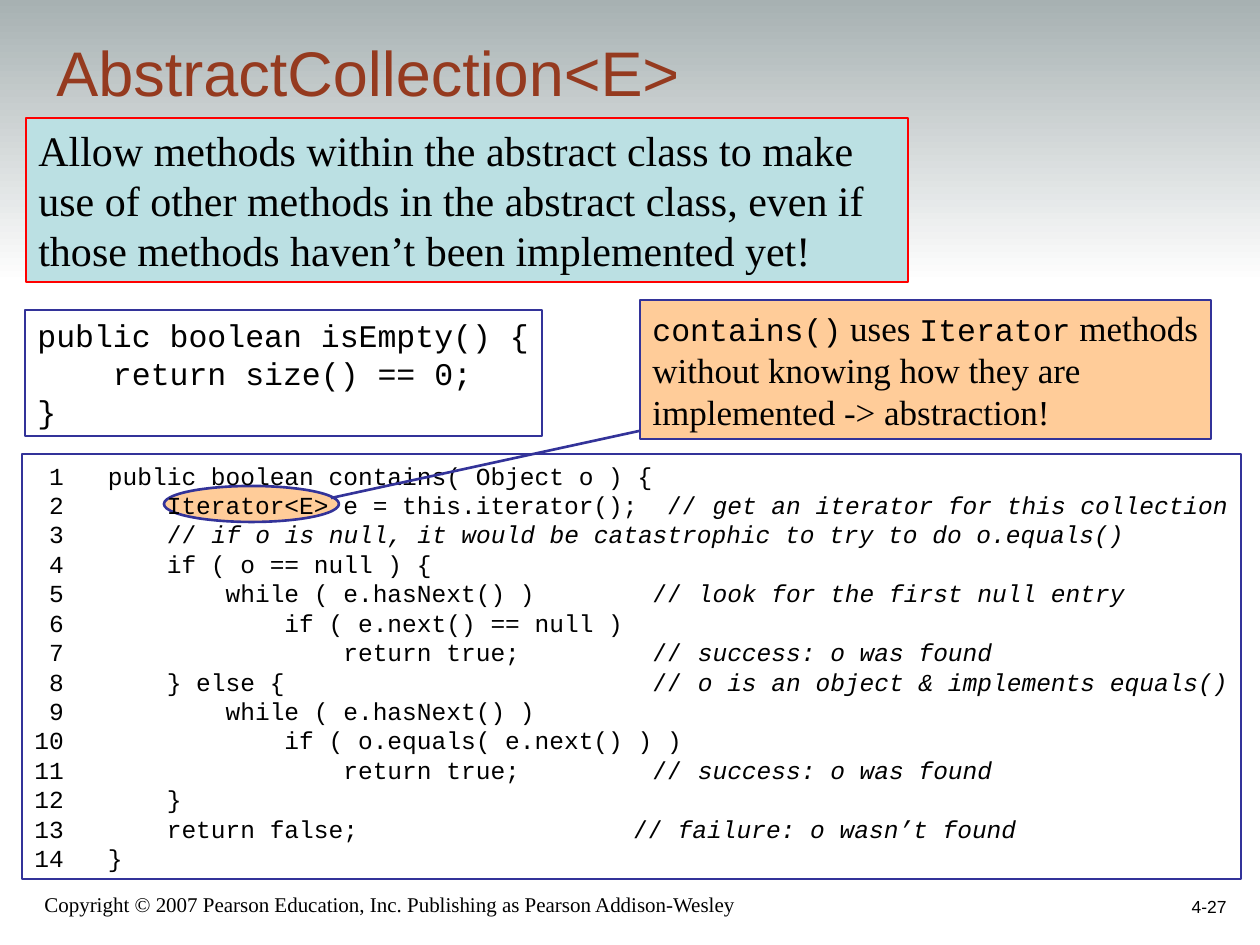
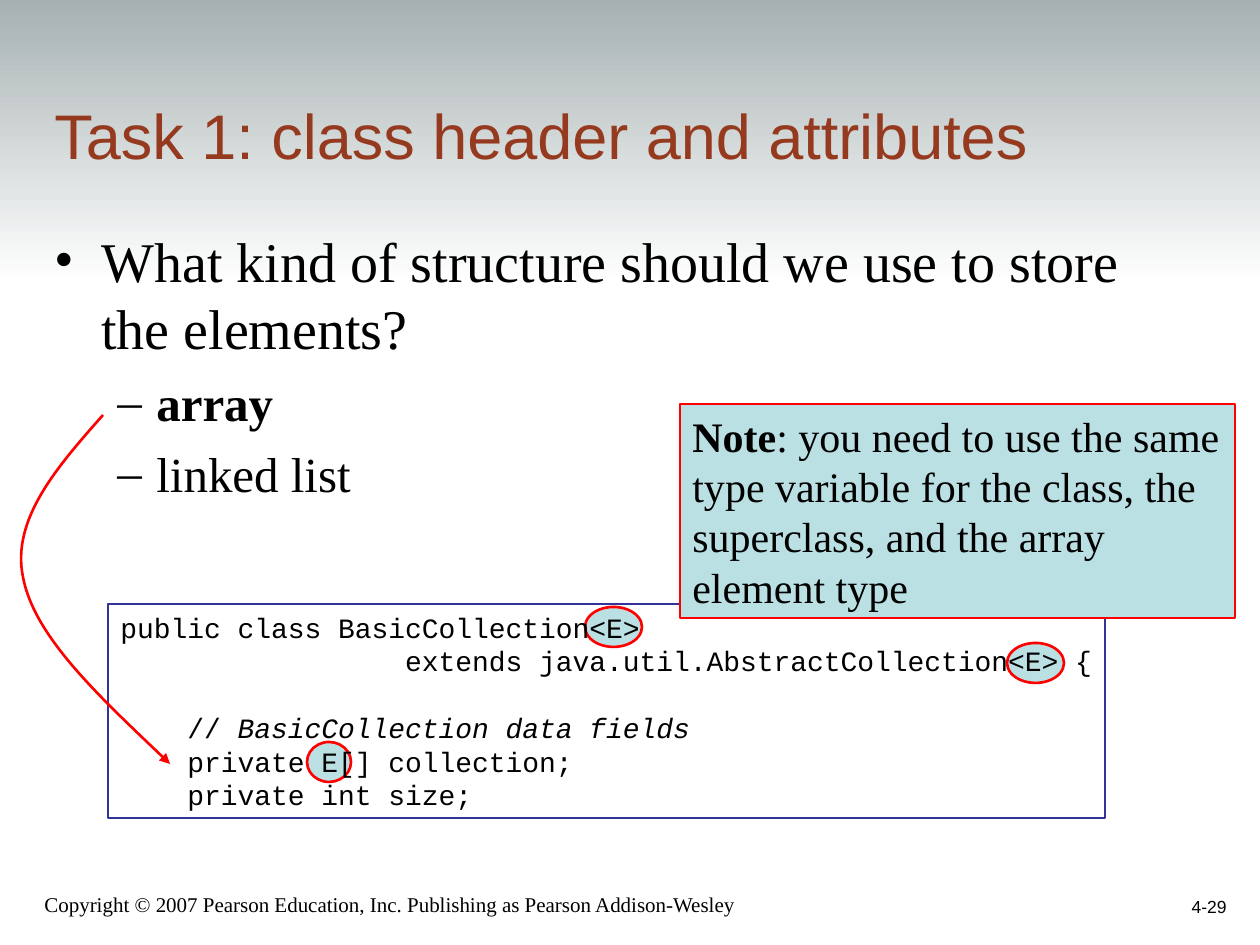
from lxml.etree import SubElement
from pptx import Presentation
from pptx.dml.color import RGBColor
from pptx.enum.shapes import MSO_CONNECTOR, MSO_SHAPE
from pptx.enum.text import MSO_ANCHOR as ANCHOR, PP_ALIGN as ALIGN
from pptx.oxml.ns import qn
from pptx.util import Emu, Pt

EMU_PER_PX = 914400 / 126
SLIDE_SIZE = 1260, 945

SANS, SERIF, MONO = "Arial", "Times New Roman", "Courier New"
BLACK, WHITE, GRAY = "000000", "FFFFFF", "A7B1B2"
RUST, INDIGO, RED = "953A1F", "333399", "FF0000"
AQUA, PEACH = "BBE0E3", "FFCC99"

COPYRIGHT = "Copyright © 2007 Pearson Education, Inc. Publishing as Pearson Addison-Wesley"

IS_EMPTY_CODE = """\
public boolean isEmpty() {
    return size() == 0;
}"""

CONTAINS_CODE = """\
 1   public boolean contains( Object o ) {
 2       Iterator<E> e = this.iterator();  // get an iterator for this collection
 3       // if o is null, it would be catastrophic to try to do o.equals()
 4       if ( o == null ) {
 5           while ( e.hasNext() )        // look for the first null entry
 6               if ( e.next() == null )
 7                   return true;         // success: o was found
 8       } else {                         // o is an object & implements equals()
 9           while ( e.hasNext() )
10               if ( o.equals( e.next() ) )
11                   return true;         // success: o was found
12       }
13       return false;\t               // failure: o wasn’t found
14   }"""

CLASS_CODE = """\
public class BasicCollection<E>
                 extends java.util.AbstractCollection<E> {

    // BasicCollection data fields
    private E[] collection;
    private int size;"""


def px(*lengths):
    return [Emu(round(length * EMU_PER_PX)) for length in lengths]


def rgb(color):
    return RGBColor.from_string(color)


# ---- Text and shapes ----

def write_runs(paragraph, runs, size, font, color=BLACK, bold=False, italic=False):
    """Runs are a plain string, or pairs of text and format overrides."""
    for text, changes in [(runs, {})] if isinstance(runs, str) else runs:
        style = {"size": size, "font": font, "bold": bold, "italic": italic} | changes
        run = paragraph.add_run()
        run.text = text
        run.font.size = Pt(style["size"])
        run.font.name = style["font"]
        run.font.bold = style["bold"]
        run.font.italic = style["italic"]
        run.font.color.rgb = rgb(color)


def write(shape, paragraphs, align=ALIGN.LEFT, anchor=ANCHOR.TOP, **style):
    frame = shape.text_frame
    frame.word_wrap = True
    frame.vertical_anchor = anchor
    for index, runs in enumerate(paragraphs):
        paragraph = frame.add_paragraph() if index else frame.paragraphs[0]
        paragraph.alignment = align
        write_runs(paragraph, runs, **style)
    return frame


def add_text(slide, box, text, **style):
    return write(slide.shapes.add_textbox(*px(*box)), [text], **style)


def set_outline(shape, color):
    shape.line.color.rgb = rgb(color)
    shape.line.width = Pt(1.5)


def add_panel(slide, box, fill, line, kind=MSO_SHAPE.RECTANGLE):
    panel = slide.shapes.add_shape(kind, *px(*box))
    panel.shadow.inherit = False
    panel.text_frame.margin_right = 0  # leaves room for the longest lines
    if fill:
        panel.fill.solid()
        panel.fill.fore_color.rgb = rgb(fill)
    else:
        panel.fill.background()
    set_outline(panel, line)
    return panel


# ---- Regions shared by the slides ----

def add_backdrop(slide, box):
    band = slide.shapes.add_shape(MSO_SHAPE.RECTANGLE, *px(*box))
    band.shadow.inherit = False
    band.line.fill.background()
    band.fill.gradient()
    band.fill.gradient_angle = 270
    for stop, color in zip(band.fill.gradient_stops, (GRAY, WHITE)):
        stop.color.rgb = rgb(color)


def add_footer(slide, box, number):
    left, top, width, height = box
    add_text(slide, (left, top + 10, 766, height - 10), COPYRIGHT,
             anchor=ANCHOR.BOTTOM, size=12, font=SERIF)
    add_text(slide, (left + width - 262, top, 262, height), number,
             align=ALIGN.RIGHT, anchor=ANCHOR.BOTTOM, size=10, font=SANS)


def start_slide(presentation, title, title_box, number):
    slide = presentation.slides.add_slide(presentation.slide_layouts[6])
    add_backdrop(slide, (0, 0, SLIDE_SIZE[0], 284))
    add_footer(slide, (32, 860, 1207, 63), number)
    add_text(slide, title_box, title, anchor=ANCHOR.BOTTOM,
             size=36, font=SANS, color=RUST)
    return slide


def add_note(slide, box, paragraphs):
    write(add_panel(slide, box, AQUA, RED), paragraphs, size=24, font=SERIF)


def add_code(slide, box, code, size, marks=(), mark_fill=None, mark_line=None):
    """Framed code with italic comments; marks are ellipses behind the code."""
    left, top, _, _ = box
    for dx, dy, width, height in marks:
        add_panel(slide, (left + dx, top + dy, width, height),
                  mark_fill, mark_line, MSO_SHAPE.OVAL)

    lines, gaps = [], []
    for line in code.splitlines():
        if not line:
            gaps.append(len(lines))
            continue
        head, slashes, comment = line.partition("// ")
        lines.append([(head + slashes, {}), (comment, {"italic": True})]
                     if comment else line)
    frame = write(add_panel(slide, box, None, INDIGO), lines,
                  anchor=ANCHOR.MIDDLE, size=size, font=MONO)
    for index in gaps:
        frame.paragraphs[index].space_before = Pt(19)


# ---- Regions of single slides ----

def add_callout(slide, box, pointer_offset):
    """Peach box whose pointer leads from its lower left to an offset."""
    left, top, _, height = box
    mono = {"font": MONO, "size": 18}
    write(add_panel(slide, box, PEACH, INDIGO),
          [[("contains()", mono), (" uses ", {}), ("Iterator", mono), (" methods", {})],
           "without knowing how they are",
           "implemented -> abstraction!"],
          size=20, font=SERIF)
    dx, dy = pointer_offset
    pointer = slide.shapes.add_connector(
        MSO_CONNECTOR.STRAIGHT, *px(left + dx, top + dy, left - 1, top + height - 8))
    set_outline(pointer, INDIGO)
    SubElement(pointer._element.spPr, qn("a:effectLst"))


def add_bullets(slide, box, items):
    levels = [  # bullet, text indent, hanging indent, size, space before
        ("•", 47, 47, 32, 0),
        ("–", 102, 39, 28, 7),
    ]
    frame = slide.shapes.add_textbox(*px(*box)).text_frame
    frame.word_wrap = True
    frame.margin_right = 0
    for index, (level, text, bold) in enumerate(items):
        bullet, indent, hanging, size, space = levels[level]
        paragraph = frame.add_paragraph() if index else frame.paragraphs[0]
        properties = paragraph._p.get_or_add_pPr()
        margin, first_line = px(indent, -hanging)
        properties.set("marL", str(margin))
        properties.set("indent", str(first_line))
        SubElement(properties, qn("a:buFont"), typeface=SERIF)
        SubElement(properties, qn("a:buChar"), char=bullet)
        paragraph.level = level
        paragraph.space_before = Pt(space)
        write_runs(paragraph, text, size, SERIF, bold=bold)


def add_curved_arrow(slide, start, points):
    """Bezier arrow: each three points, relative to start, form one segment."""
    x, y = start
    builder = slide.shapes.build_freeform(x, y, scale=EMU_PER_PX)
    builder.add_line_segments([(x + dx, y + dy) for dx, dy in points], close=False)
    arrow = builder.convert_to_shape()
    arrow.shadow.inherit = False
    arrow.fill.background()
    set_outline(arrow, RED)
    properties = arrow._element.spPr
    SubElement(properties.find(qn("a:ln")), qn("a:tailEnd"), type="triangle")

    # Turn the straight segments into cubic ones
    outline = next(properties.iter(qn("a:path")))
    segments = outline.findall(qn("a:lnTo"))
    for first in range(0, len(segments), 3):
        curve = SubElement(outline, qn("a:cubicBezTo"))
        for segment in segments[first:first + 3]:
            curve.append(segment[0])
            outline.remove(segment)


# ---- Slides ----

def build_abstract_collection(presentation):
    slide = start_slide(presentation, "AbstractCollection<E>", (44, 27, 1067, 88), "4-27")
    add_code(slide, (25, 310, 517, 126), IS_EMPTY_CODE, 18)
    add_note(slide, (26, 118, 882, 164),
             ["Allow methods within the abstract class to make use of other methods "
              "in the abstract class, even if those methods haven’t been implemented yet!"])
    add_code(slide, (22, 454, 1219, 425), CONTAINS_CODE, 14,
             marks=[(142, 32, 175, 36)], mark_fill=PEACH, mark_line=INDIGO)
    add_callout(slide, (640, 300, 571, 139), (-309, 198))


def build_class_header(presentation):
    slide = start_slide(presentation, "Task 1: class header and attributes",
                        (42, 41, 1115, 137), "4-29")
    add_bullets(slide, (42, 220, 1143, 315), [
        (0, "What kind of structure should we use to store the elements?", False),
        (1, "array", True),
        (1, "linked list", False),
    ])
    add_code(slide, (108, 604, 997, 214), CLASS_CODE, 16,
             marks=[(899, 39, 57, 40), (199, 138, 44, 40), (477, 3, 57, 40)],
             mark_fill=AQUA, mark_line=RED)
    add_note(slide, (680, 404, 555, 214),
             [[("Note", {"bold": True}), (": you need to use the same", {})],
              "type variable for the class, the",
              "superclass, and the array",
              "element type"])
    add_curved_arrow(slide, (103, 415), [(-45, 51), (-92, 104), (-80, 162),
                                         (-69, 221), (-1, 284), (67, 349)])


def main():
    presentation = Presentation()
    presentation.slide_width, presentation.slide_height = px(*SLIDE_SIZE)
    build_abstract_collection(presentation)
    build_class_header(presentation)
    presentation.save("out.pptx")


if __name__ == "__main__":
    main()
